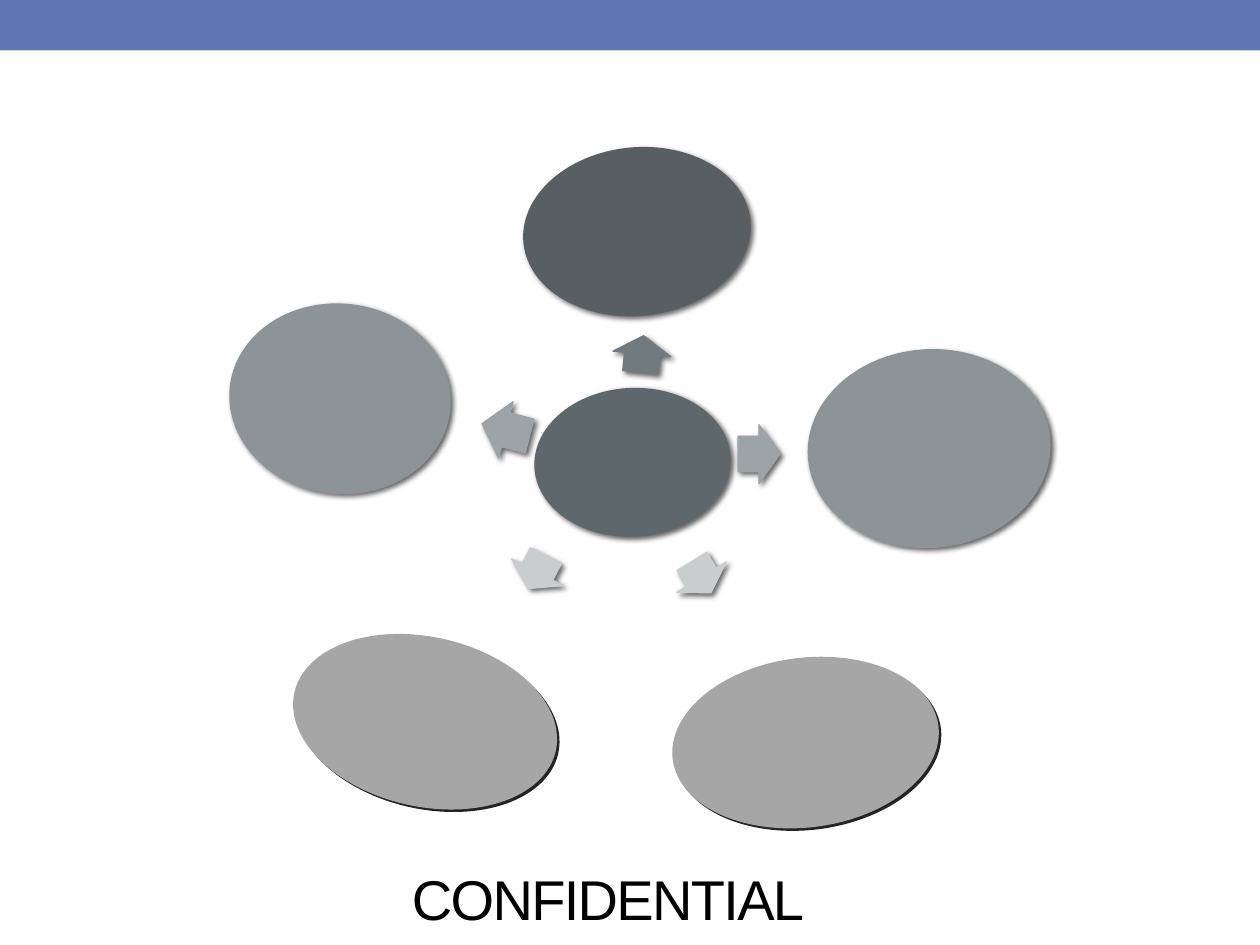
import pptx
import pptx.util
import pptx.dml.color
import pptx.enum.shapes
import pptx.enum.text
import pptx.oxml
import pptx.oxml.ns
from pptx.util import Cm

RGBColor = pptx.dml.color.RGBColor
BLUE = RGBColor(0x60, 0x76, 0xB4)
HUB = RGBColor(0x5E, 0x67, 0x6B)
CHARCOAL = RGBColor(0x57, 0x5F, 0x62)
SLATE = RGBColor(0x8D, 0x94, 0x98)
GREY = RGBColor(0xA6, 0xA6, 0xA6)
DARK_ARROW = RGBColor(0x70, 0x7A, 0x7F)
MID_ARROW = RGBColor(0x9D, 0xA4, 0xA7)
LIGHT_ARROW = RGBColor(0xCA, 0xCD, 0xCE)
BLACK = RGBColor(0, 0, 0)

SOFT = {"blur": 3, "opacity": 60}
HARD = {"blur": 0, "opacity": 85}

# left, top, width, height in cm, rotation, fill, shadow
ELLIPSES = [
    (10.77, 7.82, 3.96, 3.0, 357, HUB, SOFT),
    (10.54, 2.97, 4.6, 3.4, 354.3, CHARCOAL, SOFT),
    (16.28, 7.04, 4.9, 4.01, 355.7, SLATE, SOFT),
    (4.62, 6.12, 4.47, 3.84, 5.9, SLATE, SOFT),
    (5.87, 12.84, 5.4, 3.42, 12.6, GREY, HARD),
    (13.54, 13.26, 5.4, 3.42, 352.8, GREY, HARD),
]
# left, top, width, height in cm, rotation, fill
ARROWS = [
    (12.57, 6.55, 0.74, 1.17, 275.5, DARK_ARROW),
    (14.88, 8.56, 0.84, 1.19, 0, MID_ARROW),
    (10.46, 10.95, 0.74, 1.17, 117.7, LIGHT_ARROW),
    (9.7, 8.08, 0.99, 1.17, 194.5, MID_ARROW),
    (13.77, 11.05, 0.74, 1.17, 58.6, LIGHT_ARROW),
]


def set_values(target, values):
    for name, value in values.items():
        setattr(target, name, value)


def add_filled_shape(slide, kind, place, fill, rotation=0):
    shape = slide.shapes.add_shape(kind, *(Cm(length) for length in place))
    shape.rotation = rotation
    shape.fill.solid()
    shape.fill.fore_color.rgb = fill
    shape.line.fill.background()
    shape.shadow.inherit = False
    return shape


def add_shadow(shape, blur, opacity):
    """Cast a black shadow down to the right; blur in points, opacity in percent."""
    effects = shape.element.spPr.find(pptx.oxml.ns.qn("a:effectLst"))
    effects.append(pptx.oxml.parse_xml(
        f'<a:outerShdw {pptx.oxml.ns.nsdecls("a")} blurRad="{pptx.util.Pt(blur)}" '
        f'dist="{pptx.util.Pt(2)}" dir="2700000" algn="ctr" rotWithShape="0">'
        f'<a:srgbClr val="{BLACK}"><a:alpha val="{opacity * 1000}"/></a:srgbClr>'
        '</a:outerShdw>'))


def add_ellipse(slide, *place, rotation, fill, shadow):
    kind = pptx.enum.shapes.MSO_SHAPE.OVAL
    ellipse = add_filled_shape(slide, kind, place, fill, rotation)
    add_shadow(ellipse, **shadow)


def add_arrow(slide, *place, rotation, fill):
    kind = pptx.enum.shapes.MSO_SHAPE.RIGHT_ARROW
    arrow = add_filled_shape(slide, kind, place, fill, rotation)
    arrow.adjustments[0] = 0.6
    arrow.adjustments[1] = 0.5
    arrow.line.color.rgb = fill
    arrow.line.width = pptx.util.Pt(0.75)
    add_shadow(arrow, **SOFT)


def fill_title(slide, text):
    title = slide.shapes.title
    set_values(title, {"left": Cm(8.05), "top": Cm(17.4),
                       "width": Cm(8.69), "height": Cm(1.52)})
    set_values(title.text_frame, {
        "word_wrap": True,
        "auto_size": pptx.enum.text.MSO_AUTO_SIZE.NONE,
        "vertical_anchor": pptx.enum.text.MSO_ANCHOR.BOTTOM})
    para = title.text_frame.paragraphs[0]
    para.alignment = pptx.enum.text.PP_ALIGN.LEFT
    span = para.add_run()
    span.text = text
    set_values(span.font, {"name": "Arial", "size": pptx.util.Pt(32)})
    span.font.color.rgb = BLACK
    span.font._element.set("spc", "-100")


def main():
    deck = pptx.Presentation()
    set_values(deck, {"slide_width": Cm(25.4), "slide_height": Cm(19.05)})
    page = deck.slides.add_slide(deck.slide_layouts[5])
    add_filled_shape(page, pptx.enum.shapes.MSO_SHAPE.RECTANGLE,
                     (0, 0, 25.4, 1.02), BLUE)
    fill_title(page, "CONFIDENTIAL")
    for *place, rotation, fill, shadow in ELLIPSES:
        add_ellipse(page, *place, rotation=rotation, fill=fill, shadow=shadow)
    for *place, rotation, fill in ARROWS:
        add_arrow(page, *place, rotation=rotation, fill=fill)
    deck.save("out.pptx")


if __name__ == "__main__":
    main()
